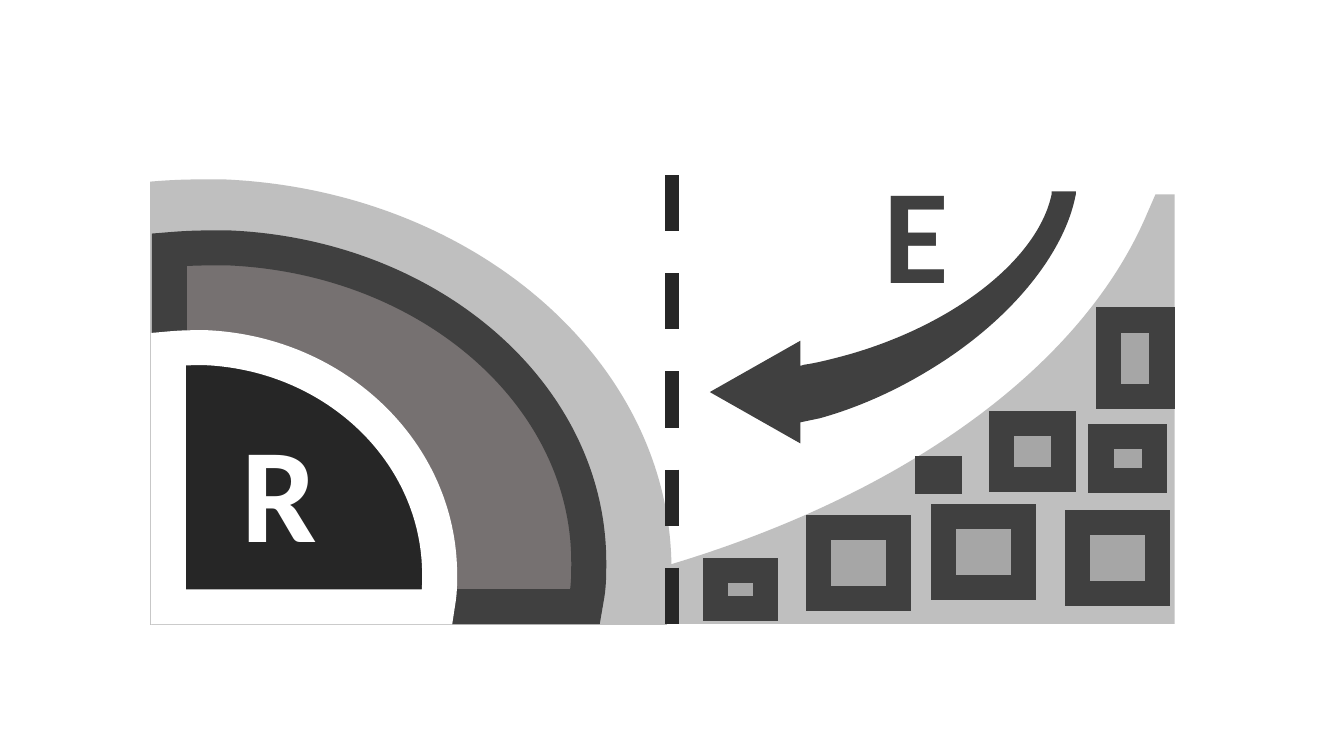
from dataclasses import dataclass

import lxml.etree
import pptx
import pptx.dml.color
import pptx.enum.dml
import pptx.enum.shapes
import pptx.enum.text
import pptx.oxml
import pptx.oxml.ns
import pptx.util

PX = 9144  # EMU in one px, with 100 px to the inch


@dataclass(frozen=True)
class Theme:
    font: str = "Calibri"
    letter_size: int = 96
    white: str = "FFFFFF"
    ground: str = "BFBFBF"
    block: str = "A6A6A6"
    mantle: str = "767171"
    dark: str = "404040"
    core: str = "262626"
    divider_width: int = 10
    block_width: int = 18
    dome_width: int = 25


class Drawing:
    def __init__(self, slide, theme):
        self.shapes = slide.shapes
        self.theme = theme

    def paint(self, shape, fill, line=None, width=0):
        shape.shadow.inherit = False
        shape.fill.solid()
        shape.fill.fore_color.rgb = pptx.dml.color.RGBColor.from_string(fill)
        if line is None:
            shape.line.fill.background()
            return
        shape.line.color.rgb = pptx.dml.color.RGBColor.from_string(line)
        shape.line.width = pptx.util.Pt(width)
        miter = pptx.oxml.parse_xml(
            f'<a:miter {pptx.oxml.ns.nsdecls("a")} lim="800000"/>')
        shape.line.fill._xPr.append(miter)

    def outline(self, steps, fill, line=None, width=0):
        """Join points (x, y) and cubic curves (x1, y1, x2, y2, x, y)."""
        steps = [[round(v * PX) for v in step] for step in steps]
        builder = self.shapes.build_freeform(*steps[0])
        builder.add_line_segments([step[-2:] for step in steps[1:]], close=True)
        shape = builder.convert_to_shape()
        qn = pptx.oxml.ns.qn
        sides = list(shape._element.iter(qn("a:lnTo")))
        for side, step in zip(sides, steps[1:]):
            if len(step) == 2:
                continue
            curve = lxml.etree.Element(qn("a:cubicBezTo"))
            for x, y in zip(step[::2], step[1::2]):
                lxml.etree.SubElement(curve, qn("a:pt"), x=str(x - shape.left),
                                      y=str(y - shape.top))
            side.getparent().replace(side, curve)
        self.paint(shape, fill, line, width)

    def dome(self, left, top, width, height, fill, line=None, line_width=0):
        """Draw a quarter dome, its outline given as shares of its box."""
        profile = [(0.097, 0), (0.143, 0), (0.62, 0.025, 1, 0.407, 1, 0.876),
                   (1, 0.906, 1, 0.936, 0.996, 0.966), (0.991, 1), (0, 1),
                   (0, 0.005), (0.03, 0.002, 0.06, 0, 0.097, 0)]
        steps = [[left + v * width if i % 2 == 0 else top + v * height
                  for i, v in enumerate(step)] for step in profile]
        self.outline(steps, fill, line, line_width)

    def block(self, left, top, width, height, rotation=0):
        rectangle = self.shapes.add_shape(
            pptx.enum.shapes.MSO_SHAPE.RECTANGLE,
            left * PX, top * PX, width * PX, height * PX)
        rectangle.rotation = rotation
        self.paint(rectangle, self.theme.block, self.theme.dark, self.theme.block_width)

    def divider(self, x, top, bottom):
        dashes = self.shapes.add_connector(
            pptx.enum.shapes.MSO_CONNECTOR.STRAIGHT,
            x * PX, top * PX, x * PX, bottom * PX)
        dashes.line.color.rgb = pptx.dml.color.RGBColor.from_string(self.theme.core)
        dashes.line.width = pptx.util.Pt(self.theme.divider_width)
        dashes.line.dash_style = pptx.enum.dml.MSO_LINE.DASH
        dashes._element.spPr.append(pptx.oxml.parse_xml(
            f'<a:effectLst {pptx.oxml.ns.nsdecls("a")}/>'))

    def letter(self, text, color, *box):
        label = self.shapes.add_textbox(*(v * PX for v in box)).text_frame
        label.word_wrap = False
        label.auto_size = pptx.enum.text.MSO_AUTO_SIZE.SHAPE_TO_FIT_TEXT
        run = label.paragraphs[0].add_run()
        run.text = text
        run.font.name = self.theme.font
        run.font.size = pptx.util.Pt(self.theme.letter_size)
        run.font.bold = True
        run.font.color.rgb = pptx.dml.color.RGBColor.from_string(color)


SLOPE = [(1146, 193), (1165, 193), (1165, 619), (241, 619), (289, 619),
         (698, 607, 1038, 440, 1136, 216)]
BLOCKS = [(936, 512, 79, 71), (1069, 518, 79, 71), (993, 420, 62, 56),
          (1088, 329, 76, 53, 90), (1092, 433, 53, 44), (812, 523, 79, 71),
          (710, 566, 49, 38), (920, 465, 22, 13)]
SWEEP = [(1043, 190), (1067, 190), (1067, 193),
         (1056, 251, 1003, 318, 922, 367), (886, 389, 849, 405, 813, 415),
         (794, 419), (794, 440), (704, 389), (794, 338), (794, 363), (797, 362),
         (811, 360, 826, 356, 841, 352), (950, 321, 1030, 255, 1043, 193)]


def main():
    presentation = pptx.Presentation()
    presentation.slide_width = 1333 * PX
    presentation.slide_height = 750 * PX
    blank = presentation.slide_layouts[6]
    theme = Theme()
    drawing = Drawing(presentation.slides.add_slide(blank), theme)

    drawing.outline(SLOPE, theme.ground)
    drawing.dome(149, 178, 517, 442, theme.ground)
    drawing.divider(667, 174, 625)
    for box in BLOCKS:
        drawing.block(*box)
    drawing.dome(168, 246, 416, 356, theme.mantle, theme.dark, theme.dome_width)
    drawing.dome(167, 345, 269, 257, theme.core, theme.white, theme.dome_width)
    drawing.outline(SWEEP, theme.dark)
    drawing.letter("R", theme.white, 230, 400, 96, 172)
    drawing.letter("E", theme.dark, 866, 143, 86, 172)

    presentation.save("out.pptx")


if __name__ == "__main__":
    main()
